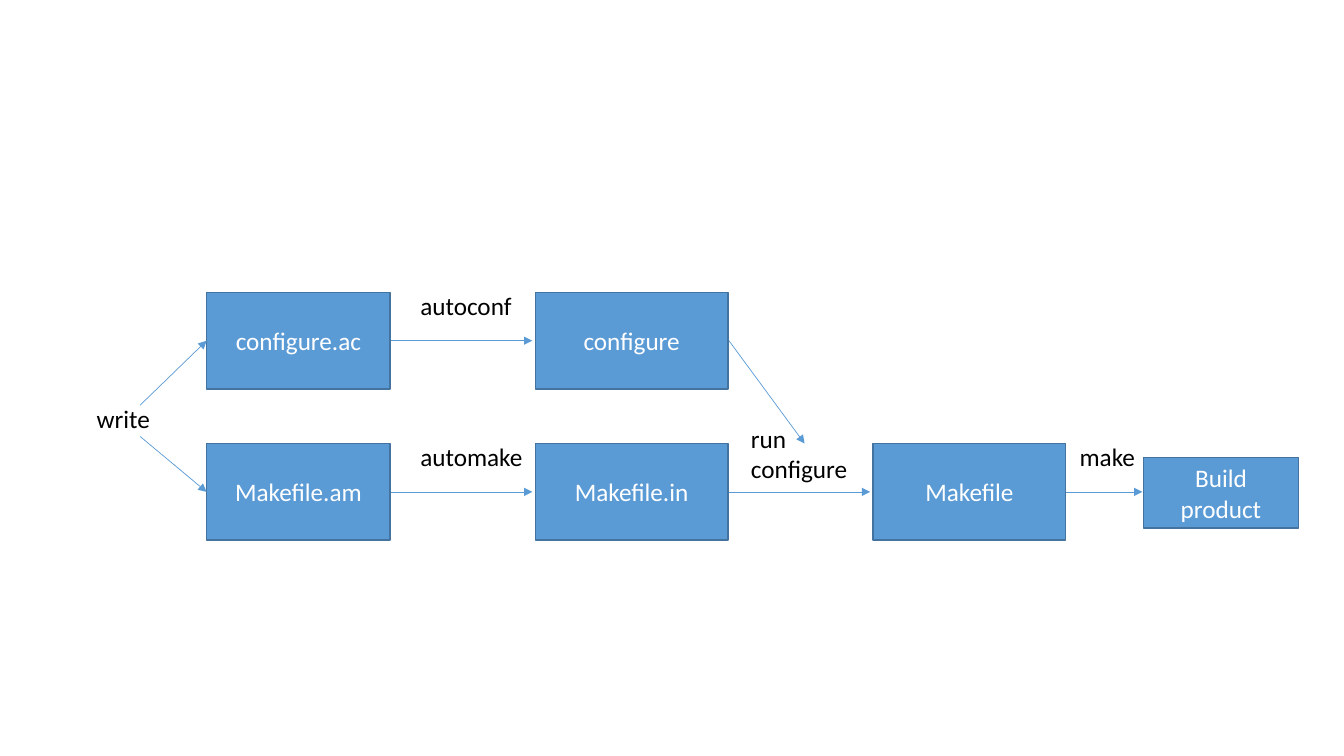
from lxml import etree
from pptx import Presentation
from pptx.dml.color import RGBColor
from pptx.enum.shapes import MSO_CONNECTOR, MSO_SHAPE
from pptx.enum.text import MSO_ANCHOR, MSO_AUTO_SIZE, PP_ALIGN
from pptx.oxml.ns import qn
from pptx.util import Inches, Pt

THEME = {
    "font": "Calibri",
    "size": Pt(18),
    "fill": RGBColor(0x5B, 0x9B, 0xD5),
    "border": RGBColor(0x43, 0x73, 0x9E),
    "box_text": RGBColor(0xFF, 0xFF, 0xFF),
    "label_text": RGBColor(0x00, 0x00, 0x00),
    "border_width": Pt(1),
    "arrow_width": Pt(0.5),
}

# Vertical centres of the two rows, in inches
TOP_ROW, BOTTOM_ROW = 3.38, 4.88
STEP_HEIGHT = 0.96

# text, left, row, width, height
STEPS = [
    ("configure.ac", 2.05, TOP_ROW, 1.82, STEP_HEIGHT),
    ("configure", 5.31, TOP_ROW, 1.91, STEP_HEIGHT),
    ("Makefile.am", 2.05, BOTTOM_ROW, 1.82, STEP_HEIGHT),
    ("Makefile.in", 5.31, BOTTOM_ROW, 1.91, STEP_HEIGHT),
    ("Makefile", 8.66, BOTTOM_ROW, 1.91, STEP_HEIGHT),
    ("Build product", 11.34, BOTTOM_ROW + 0.01, 1.54, 0.7),
]

# text, left, top, width, height
LABELS = [
    ("write", 0.86, 3.95, 0.76, 0.4),
    ("autoconf", 4.07, TOP_ROW - 0.55, 1.37, 0.4),
    ("automake", 4.07, BOTTOM_ROW - 0.55, 1.37, 0.4),
    ("run configure", 7.35, 4.15, 1.37, 0.71),
    ("make", 10.61, BOTTOM_ROW - 0.55, 0.76, 0.4),
]

# start x, start y, end x, end y
ARROWS = [
    (1.39, 4.02, 2.05, TOP_ROW),
    (1.39, 4.33, 2.05, BOTTOM_ROW),
    (3.88, TOP_ROW, 5.28, TOP_ROW),
    (3.88, BOTTOM_ROW, 5.28, BOTTOM_ROW),
    (7.23, TOP_ROW, 7.98, 4.4),
    (7.23, BOTTOM_ROW, 8.63, BOTTOM_ROW),
    (10.57, BOTTOM_ROW, 11.33, BOTTOM_ROW),
]


def write_text(shape, text, color, align):
    shape.text_frame.word_wrap = True
    para = shape.text_frame.paragraphs[0]
    para.alignment = align
    span = para.add_run()
    span.text = text
    span.font.name = THEME["font"]
    span.font.size = THEME["size"]
    span.font.color.rgb = color


def add_step(page, text, left, row, width, height):
    """Add a filled box centred vertically on its row."""
    top = row - height / 2
    box = page.shapes.add_shape(
        MSO_SHAPE.RECTANGLE, *map(Inches, (left, top, width, height)))
    box.shadow.inherit = False
    box.fill.solid()
    box.fill.fore_color.rgb = THEME["fill"]
    box.line.color.rgb = THEME["border"]
    box.line.width = THEME["border_width"]
    box.text_frame.vertical_anchor = MSO_ANCHOR.MIDDLE
    write_text(box, text, THEME["box_text"], PP_ALIGN.CENTER)


def add_label(page, text, *bounds):
    label = page.shapes.add_textbox(*map(Inches, bounds))
    label.text_frame.auto_size = MSO_AUTO_SIZE.SHAPE_TO_FIT_TEXT
    write_text(label, text, THEME["label_text"], PP_ALIGN.LEFT)


def add_arrow(page, *ends):
    arrow = page.shapes.add_connector(
        MSO_CONNECTOR.STRAIGHT, *map(Inches, ends))
    arrow.line.color.rgb = THEME["fill"]
    arrow.line.width = THEME["arrow_width"]
    properties = arrow.element.spPr
    line = properties.find(qn("a:ln"))
    etree.SubElement(line, qn("a:tailEnd"), type="triangle")
    etree.SubElement(properties, qn("a:effectLst"))


def main():
    deck = Presentation()
    deck.slide_width, deck.slide_height = Inches(13.33), Inches(7.5)
    page = deck.slides.add_slide(deck.slide_layouts[6])
    for step in STEPS:
        add_step(page, *step)
    for arrow in ARROWS:
        add_arrow(page, *arrow)
    for label in LABELS:
        add_label(page, *label)
    deck.save("out.pptx")


if __name__ == "__main__":
    main()
